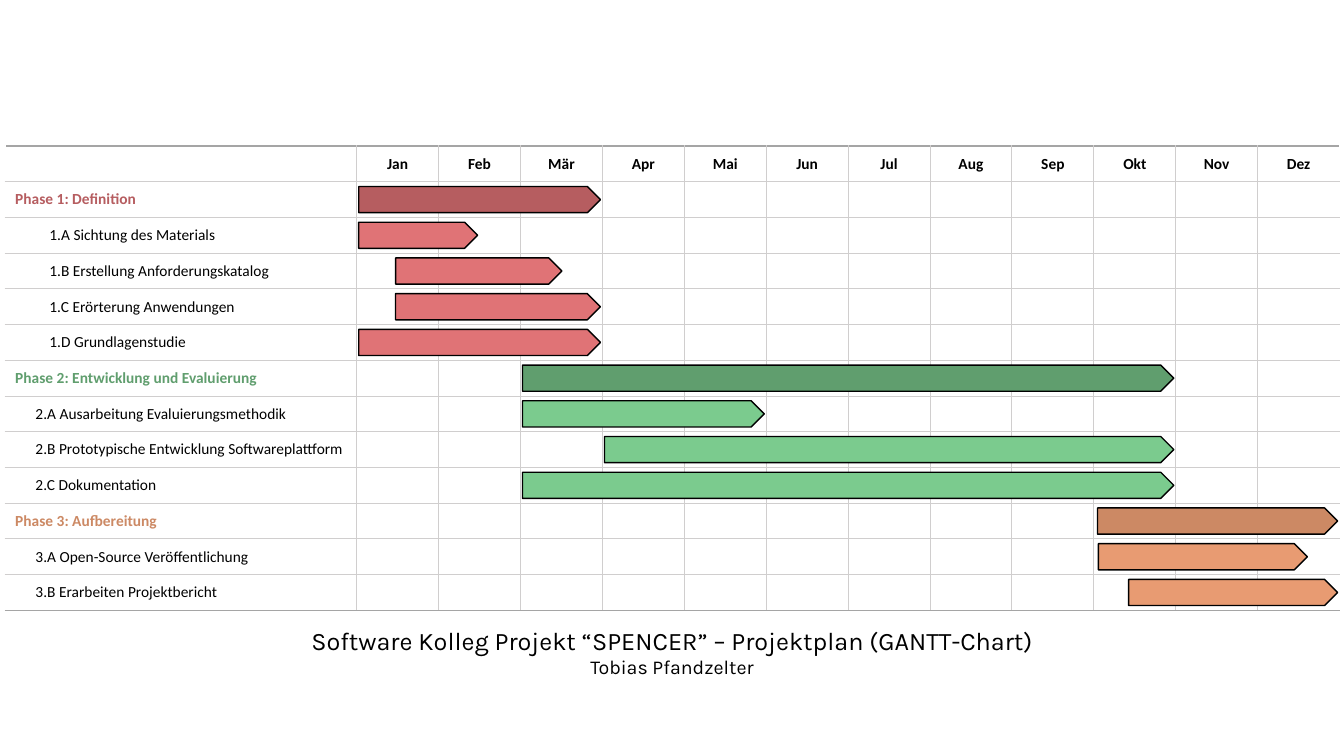
from dataclasses import dataclass

from lxml import etree
from pptx import Presentation
from pptx.dml.color import RGBColor
from pptx.enum.shapes import MSO_SHAPE
from pptx.enum.text import MSO_ANCHOR, MSO_AUTO_SIZE, PP_ALIGN
from pptx.oxml.ns import qn
from pptx.slide import Slide
from pptx.table import Table, _Cell
from pptx.text.text import _Paragraph
from pptx.util import Cm, Pt

PENTAGON = MSO_SHAPE.PENTAGON
MIDDLE = MSO_ANCHOR.MIDDLE
CENTER = PP_ALIGN.CENTER
LEFT = PP_ALIGN.LEFT
FIT_SHAPE = MSO_AUTO_SIZE.SHAPE_TO_FIT_TEXT


@dataclass(frozen=True)
class Theme:
    text: str = "000000"
    grid: str = "D0CECE"
    frame: str = "A5A5A5"
    table_font: str = "Calibri"
    caption_font: str = "Karla"
    table_size: float = 11
    title_size: float = 18
    author_size: float = 14
    grid_width: float = 0.75
    line_width: float = 1


@dataclass(frozen=True)
class Phase:
    dark: str
    light: str
    indent: float


@dataclass(frozen=True)
class Task:
    label: str
    phase: Phase
    start: float
    end: float
    heading: bool = False


THEME = Theme()
MONTHS = ["Jan", "Feb", "Mär", "Apr", "Mai", "Jun", "Jul", "Aug", "Sep", "Okt", "Nov", "Dez"]
DEFINITION = Phase("B65D60", "E07376", 0.86)
DEVELOPMENT = Phase("609E6E", "7BCB8E", 0.51)
FINISHING = Phase("CC8964", "E89B72", 0.51)
TASKS = [
    Task("Phase 1: Definition", DEFINITION, 0, 3, True),
    Task("1.A Sichtung des Materials", DEFINITION, 0, 1.5),
    Task("1.B Erstellung Anforderungskatalog", DEFINITION, 0.45, 2.53),
    Task("1.C Erörterung Anwendungen", DEFINITION, 0.45, 3),
    Task("1.D Grundlagenstudie", DEFINITION, 0, 3),
    Task("Phase 2: Entwicklung und Evaluierung", DEVELOPMENT, 2, 10, True),
    Task("2.A Ausarbeitung Evaluierungsmethodik", DEVELOPMENT, 2, 5),
    Task("2.B Prototypische Entwicklung Softwareplattform", DEVELOPMENT, 3, 10),
    Task("2.C Dokumentation", DEVELOPMENT, 2, 10),
    Task("Phase 3: Aufbereitung", FINISHING, 9.02, 12, True),
    Task("3.A Open-Source Veröffentlichung", FINISHING, 9.03, 11.63),
    Task("3.B Erarbeiten Projektbericht", FINISHING, 9.4, 12),
]

TABLE_LEFT, TABLE_TOP, TABLE_WIDTH = 0.13, 3.68, 33.63
LABEL_WIDTH, ROW_HEIGHT = 8.86, 0.9
MONTH_WIDTH = (TABLE_WIDTH - LABEL_WIDTH) / len(MONTHS)
BAR_HEIGHT, BAR_INSET = 0.66, 0.05


def style_paragraph(paragraph: _Paragraph, font: str, size: float, color: str = THEME.text,
                    bold: bool = False, alignment: PP_ALIGN = CENTER) -> None:
    paragraph.alignment = alignment
    paragraph.font.name = font
    paragraph.font.size = Pt(size)
    paragraph.font.bold = bold
    paragraph.font.color.rgb = RGBColor.from_string(color)


def add_border(cell: _Cell, side: str, color: str, width: float) -> None:
    properties = cell._tc.get_or_add_tcPr()
    line = etree.SubElement(properties, qn(f"a:ln{side}"), w=str(Pt(width)))
    fill = etree.SubElement(line, qn("a:solidFill"))
    etree.SubElement(fill, qn("a:srgbClr"), val=color)


def style_cell(table: Table, row: int, column: int) -> None:
    cell = table.cell(row, column)
    last_row, last_column = len(TASKS), len(MONTHS)
    if column > 0:
        add_border(cell, "L", THEME.grid, THEME.grid_width)
    if column < last_column:
        add_border(cell, "R", THEME.grid, THEME.grid_width)
    for side, is_edge in (("T", row == 0), ("B", row == last_row)):
        if is_edge:
            add_border(cell, side, THEME.frame, THEME.line_width)
        else:
            add_border(cell, side, THEME.grid, THEME.grid_width)
    cell.fill.background()
    cell.vertical_anchor = MIDDLE
    cell.margin_top = cell.margin_bottom = 0
    style_paragraph(cell.text_frame.paragraphs[0], THEME.table_font, THEME.table_size)


def add_schedule(slide: Slide) -> None:
    row_count, column_count = len(TASKS) + 1, len(MONTHS) + 1
    table = slide.shapes.add_table(
        row_count, column_count, Cm(TABLE_LEFT), Cm(TABLE_TOP),
        Cm(TABLE_WIDTH), Cm(ROW_HEIGHT * row_count)).table
    table.first_row = table.horz_banding = False
    for index, column in enumerate(table.columns):
        column.width = Cm(MONTH_WIDTH if index else LABEL_WIDTH)
    for row in table.rows:
        row.height = Cm(ROW_HEIGHT)
    for row in range(row_count):
        for column in range(column_count):
            style_cell(table, row, column)
    for column, month in enumerate(MONTHS, 1):
        paragraph = table.cell(0, column).text_frame.paragraphs[0]
        paragraph.text = month
        paragraph.font.bold = True
    for row, task in enumerate(TASKS, 1):
        paragraph = table.cell(row, 0).text_frame.paragraphs[0]
        paragraph.text = task.label
        color = task.phase.dark if task.heading else THEME.text
        style_paragraph(paragraph, THEME.table_font, THEME.table_size, color, task.heading, LEFT)
        if not task.heading:
            paragraph._p.get_or_add_pPr().set("marL", str(Cm(task.phase.indent)))


def add_bar(slide: Slide, row: int, task: Task) -> None:
    left = TABLE_LEFT + LABEL_WIDTH + task.start * MONTH_WIDTH + BAR_INSET
    top = TABLE_TOP + row * ROW_HEIGHT + (ROW_HEIGHT - BAR_HEIGHT) / 2
    width = (task.end - task.start) * MONTH_WIDTH - 2 * BAR_INSET
    bar = slide.shapes.add_shape(PENTAGON, Cm(left), Cm(top), Cm(width), Cm(BAR_HEIGHT))
    bar.shadow.inherit = False
    bar.fill.solid()
    color = task.phase.dark if task.heading else task.phase.light
    bar.fill.fore_color.rgb = RGBColor.from_string(color)
    bar.line.color.rgb = RGBColor.from_string(THEME.text)
    bar.line.width = Pt(THEME.line_width)


def add_caption(slide: Slide) -> None:
    frame = slide.shapes.add_textbox(Cm(7.16), Cm(15.62), Cm(19.56), Cm(1.63)).text_frame
    frame.word_wrap = False
    frame.auto_size = FIT_SHAPE
    title = frame.paragraphs[0]
    title.text = "Software Kolleg Projekt “SPENCER” – Projektplan (GANTT-Chart)"
    style_paragraph(title, THEME.caption_font, THEME.title_size)
    author = frame.add_paragraph()
    author.text = "Tobias Pfandzelter"
    style_paragraph(author, THEME.caption_font, THEME.author_size)


def main() -> None:
    presentation = Presentation()
    presentation.slide_width = Cm(33.87)
    presentation.slide_height = Cm(19.05)
    slide = presentation.slides.add_slide(presentation.slide_layouts[6])
    add_schedule(slide)
    for row, task in enumerate(TASKS, 1):
        add_bar(slide, row, task)
    add_caption(slide)
    presentation.save("out.pptx")


if __name__ == "__main__":
    main()
